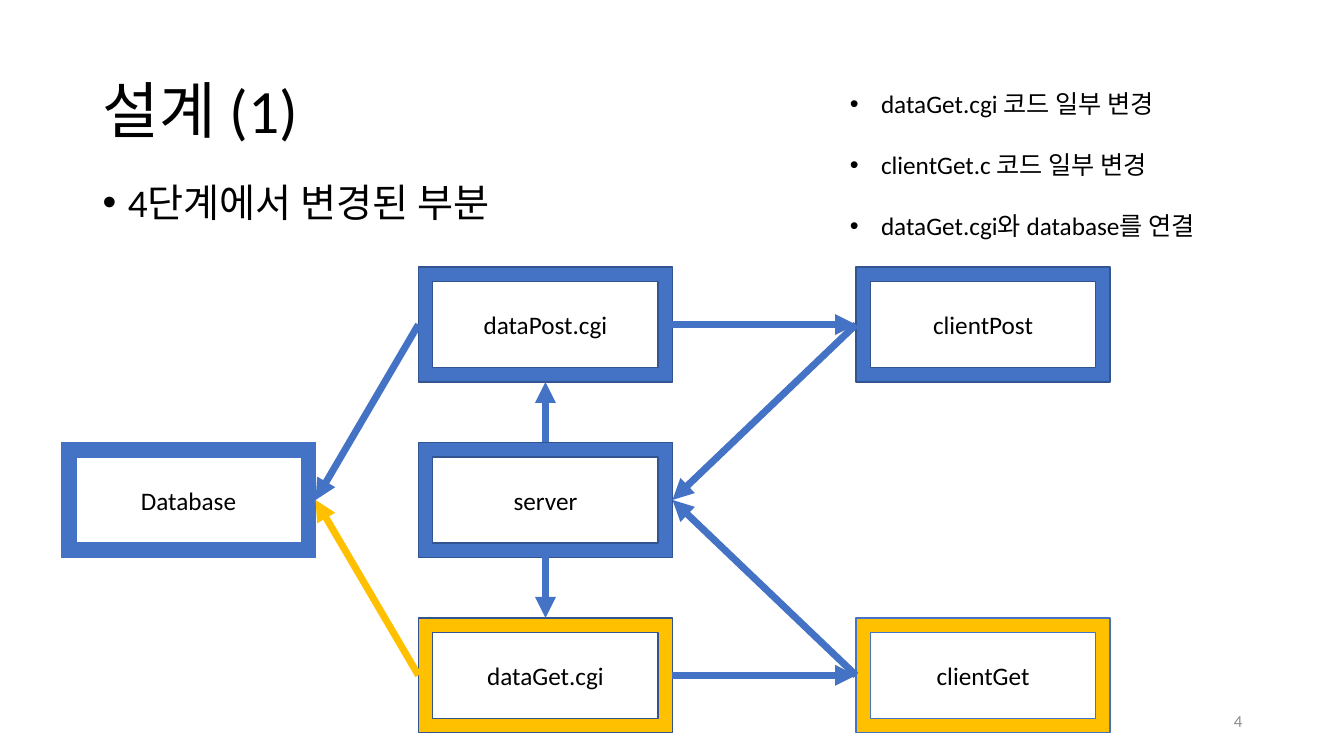
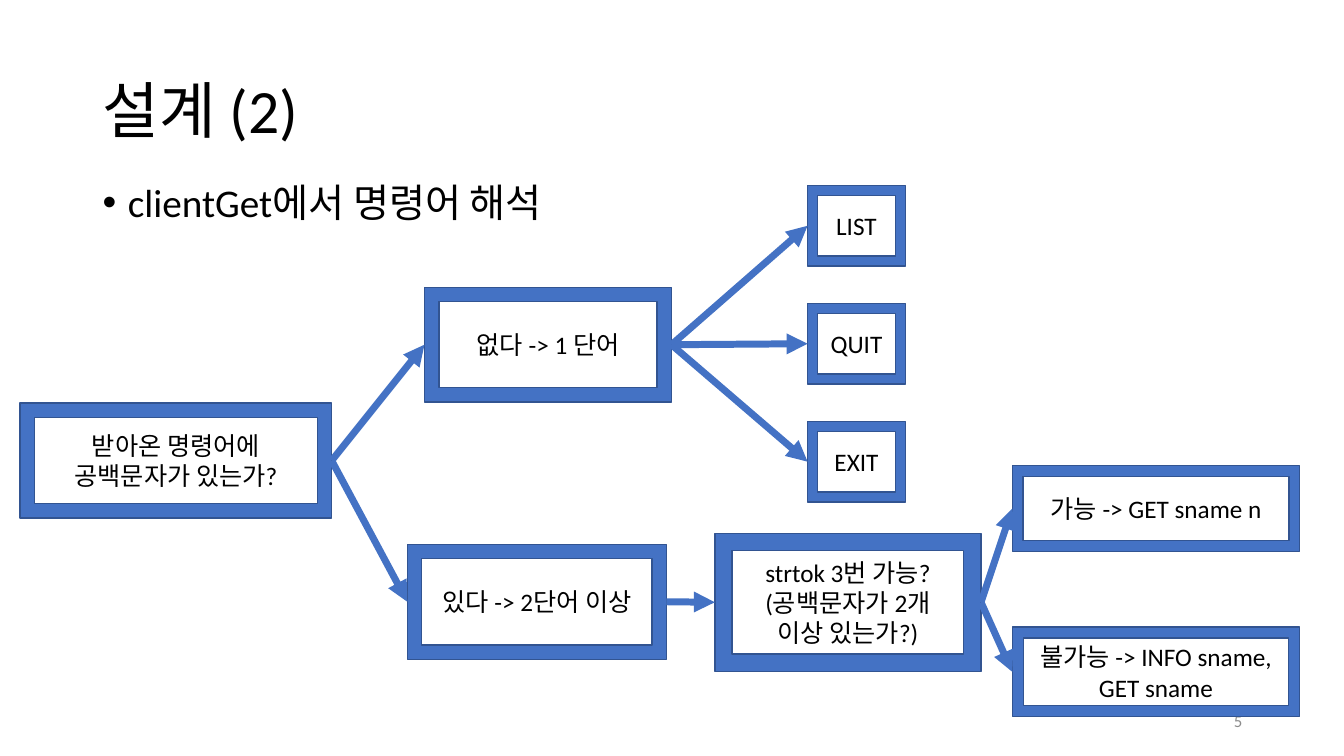
"""Build two design slides: a server diagram and a command decision tree."""
import pptx
import pptx.dml.color
import pptx.enum.shapes
import pptx.enum.text
import pptx.util
import pptx.oxml.ns
import lxml.etree

Inches = pptx.util.Inches
Pt = pptx.util.Pt
RGBColor = pptx.dml.color.RGBColor
ALIGN = pptx.enum.text.PP_ALIGN
ANCHOR = pptx.enum.text.MSO_ANCHOR
qn = pptx.oxml.ns.qn

BLUE = RGBColor(0x44, 0x72, 0xC4)
NAVY = RGBColor(0x32, 0x54, 0x91)
GOLD = RGBColor(0xFF, 0xC0, 0x00)
BLACK = RGBColor(0, 0, 0)
GRAY = RGBColor(0x8C, 0x8C, 0x8C)
FONT = "Calibri"
TOP, LEFT, BOTTOM, RIGHT = range(4)

COLUMNS = [0.61, 4.15, 8.49]
ROWS = [2.65 + 1.74 * row for row in range(3)]
GRID_SIZE = (2.52, 1.14)
ANSWER_SIZE = (0.97, 0.8)

SERVER_GRID = [
    ("dataPost.cgi", 1, 0, BLUE, NAVY),
    ("dataGet.cgi", 1, 2, GOLD, NAVY),
    ("server", 1, 1, BLUE, NAVY),
    ("clientPost", 2, 0, BLUE, NAVY),
    ("clientGet", 2, 2, GOLD, BLUE),
    ("Database", 0, 1, BLUE, BLUE),
]
SERVER_ARROWS = [
    ("clientPost", LEFT, "server", RIGHT, BLUE),
    ("clientGet", LEFT, "server", RIGHT, BLUE),
    ("server", TOP, "dataPost.cgi", BOTTOM, BLUE),
    ("server", BOTTOM, "dataGet.cgi", TOP, BLUE),
    ("dataPost.cgi", RIGHT, "clientPost", LEFT, BLUE),
    ("dataGet.cgi", RIGHT, "clientGet", LEFT, BLUE),
    ("dataPost.cgi", LEFT, "Database", RIGHT, BLUE),
    ("dataGet.cgi", LEFT, "Database", RIGHT, GOLD),
]
CHANGES = ["dataGet.cgi 코드 일부 변경", "clientGet.c 코드 일부 변경", "dataGet.cgi와 database를 연결"]

DECISIONS = {
    "question": ("받아온 명령어에 공백문자가 있는가?", (0.2, 4, 3.09, 1.14)),
    "one word": ("없다 -> 1 단어", (4.21, 2.85, 2.45, 1.14)),
    "more words": ("있다 -> 2단어 이상", (4.04, 5.4, 2.57, 1.14)),
    "strtok": ("strtok 3번 가능?\n(공백문자가 2개 이상 있는가?)", (7.09, 5.29, 2.64, 1.37)),
    "possible": ("가능 -> GET sname n", (10.04, 4.62, 2.85, 0.85)),
    "impossible": ("불가능 -> INFO sname,\nGET sname", (10.04, 6.22, 2.85, 0.89)),
}
ANSWERS = ["LIST", "QUIT", "EXIT"]
BRANCHES = {
    "question": ["one word", "more words"],
    "one word": ANSWERS,
    "more words": ["strtok"],
    "strtok": ["possible", "impossible"],
}


def write(shape, text, size, color=BLACK, align=ALIGN.LEFT, anchor=ANCHOR.MIDDLE):
    """Fill a shape with evenly formatted paragraphs and return them."""
    frame = shape.text_frame
    frame.word_wrap = True
    frame.vertical_anchor = anchor
    frame.text = text
    for para in frame.paragraphs:
        para.alignment = align
        for span in para.runs:
            span.font.name = FONT
            span.font.size = Pt(size)
            span.font.color.rgb = color
    return frame.paragraphs


def add_text(page, place, text, size, **style):
    """Add a text box and return its paragraphs."""
    box = page.shapes.add_textbox(*map(Inches, place))
    return write(box, text, size, **style)


def add_bullet(para, indent):
    """Give a paragraph a hanging round bullet."""
    props = para._p.get_or_add_pPr()
    props.set("marL", str(Inches(indent)))
    props.set("indent", str(-Inches(indent)))
    lxml.etree.SubElement(props, qn("a:buFont")).set("typeface", "Arial")
    lxml.etree.SubElement(props, qn("a:buChar")).set("char", "•")


def add_page(deck, title, topic, number):
    """Add a slide with the shared title, topic line and slide number."""
    page = deck.slides.add_slide(deck.slide_layouts[6])
    heading = add_text(page, (0.92, 0.4, 11.5, 1.45), title, 44)[0]
    heading.line_spacing = 0.9
    point = add_text(page, (0.92, 1.77, 11.5, 4.76), topic, 28, anchor=ANCHOR.TOP)[0]
    point.line_spacing = 0.9
    point.space_before = Pt(10)
    add_bullet(point, 0.25)
    add_text(page, (9.42, 6.95, 3, 0.4), str(number), 12, color=GRAY, align=ALIGN.RIGHT)
    return page


def add_frame(page, text, place, fill=BLUE, outline=NAVY):
    """Add a hollow frame with centred text."""
    box = page.shapes.add_shape(pptx.enum.shapes.MSO_SHAPE.FRAME, *map(Inches, place))
    box.shadow.inherit = False
    box.fill.solid()
    box.fill.fore_color.rgb = fill
    box.line.color.rgb = outline
    box.line.width = Pt(1)
    write(box, text, 18, align=ALIGN.CENTER)
    return box


def add_arrow(page, start, start_side, end, end_side, color=BLUE):
    """Connect the sides of two boxes with an arrow."""
    arrow = page.shapes.add_connector(pptx.enum.shapes.MSO_CONNECTOR.STRAIGHT, 0, 0, 0, 0)
    arrow.begin_connect(start, start_side)
    arrow.end_connect(end, end_side)
    arrow.line.color.rgb = color
    arrow.line.width = Pt(5)
    lxml.etree.SubElement(arrow.line._get_or_add_ln(), qn("a:tailEnd")).set("type", "triangle")
    lxml.etree.SubElement(arrow._element.spPr, qn("a:effectLst"))


def build_server(deck):
    """Build the diagram of the server parts."""
    page = add_page(deck, "설계 (1)", "4단계에서 변경된 부분", 4)
    boxes = {
        name: add_frame(page, name, (COLUMNS[column], ROWS[row], *GRID_SIZE), fill, outline)
        for name, column, row, fill, outline in SERVER_GRID
    }
    for start, start_side, end, end_side, color in SERVER_ARROWS:
        add_arrow(page, boxes[start], start_side, boxes[end], end_side, color)
    changes = add_text(page, (8.33, 0.83, 4.39, 1.62), "\n".join(CHANGES), 18, anchor=ANCHOR.TOP)
    for index, para in enumerate(changes):
        para.space_before = Pt(22 if index else 0)
        add_bullet(para, 0.31)


def build_commands(deck):
    """Build the decision tree of the commands."""
    page = add_page(deck, "설계 (2)", "clientGet에서 명령어 해석", 5)
    boxes = {name: add_frame(page, text, place) for name, (text, place) in DECISIONS.items()}
    for index, answer in enumerate(ANSWERS):
        boxes[answer] = add_frame(page, answer, (8.01, 1.84 + 1.17 * index, *ANSWER_SIZE))
    for start, ends in BRANCHES.items():
        for end in ends:
            add_arrow(page, boxes[start], RIGHT, boxes[end], LEFT)


def main():
    """Build and save the deck."""
    deck = pptx.Presentation()
    deck.slide_width = Inches(13.33)
    deck.slide_height = Inches(7.5)
    build_server(deck)
    build_commands(deck)
    deck.save("out.pptx")


if __name__ == "__main__":
    main()
